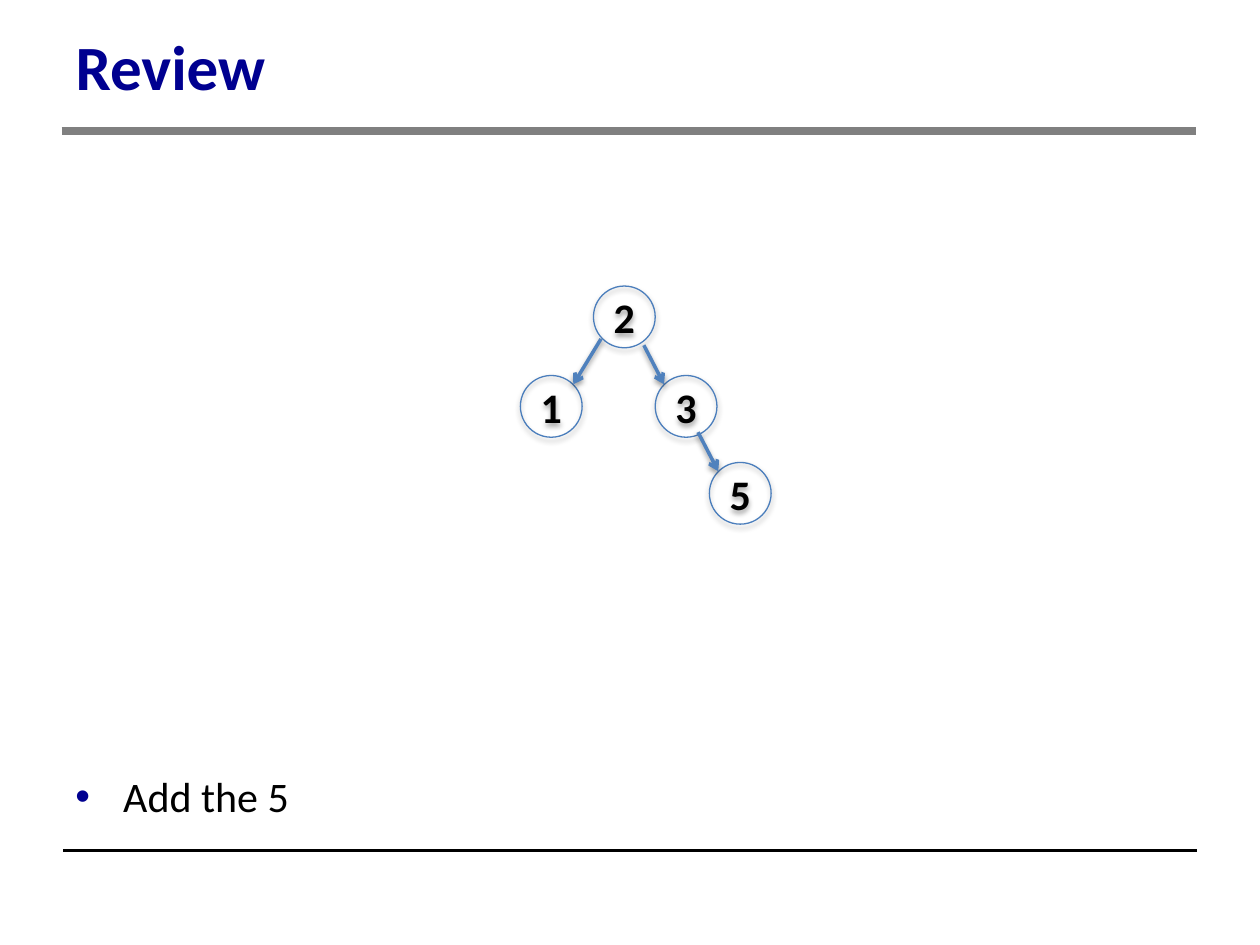
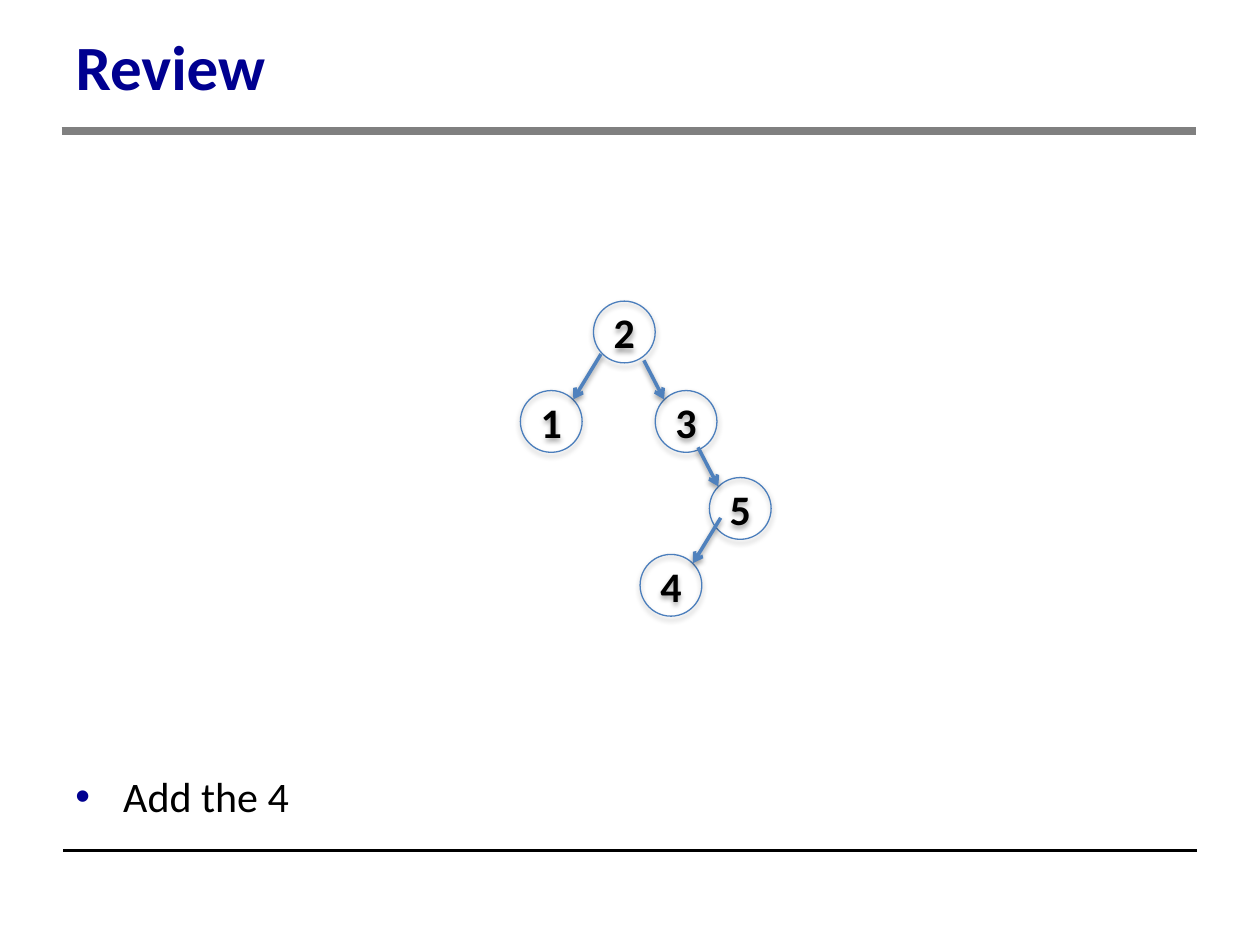
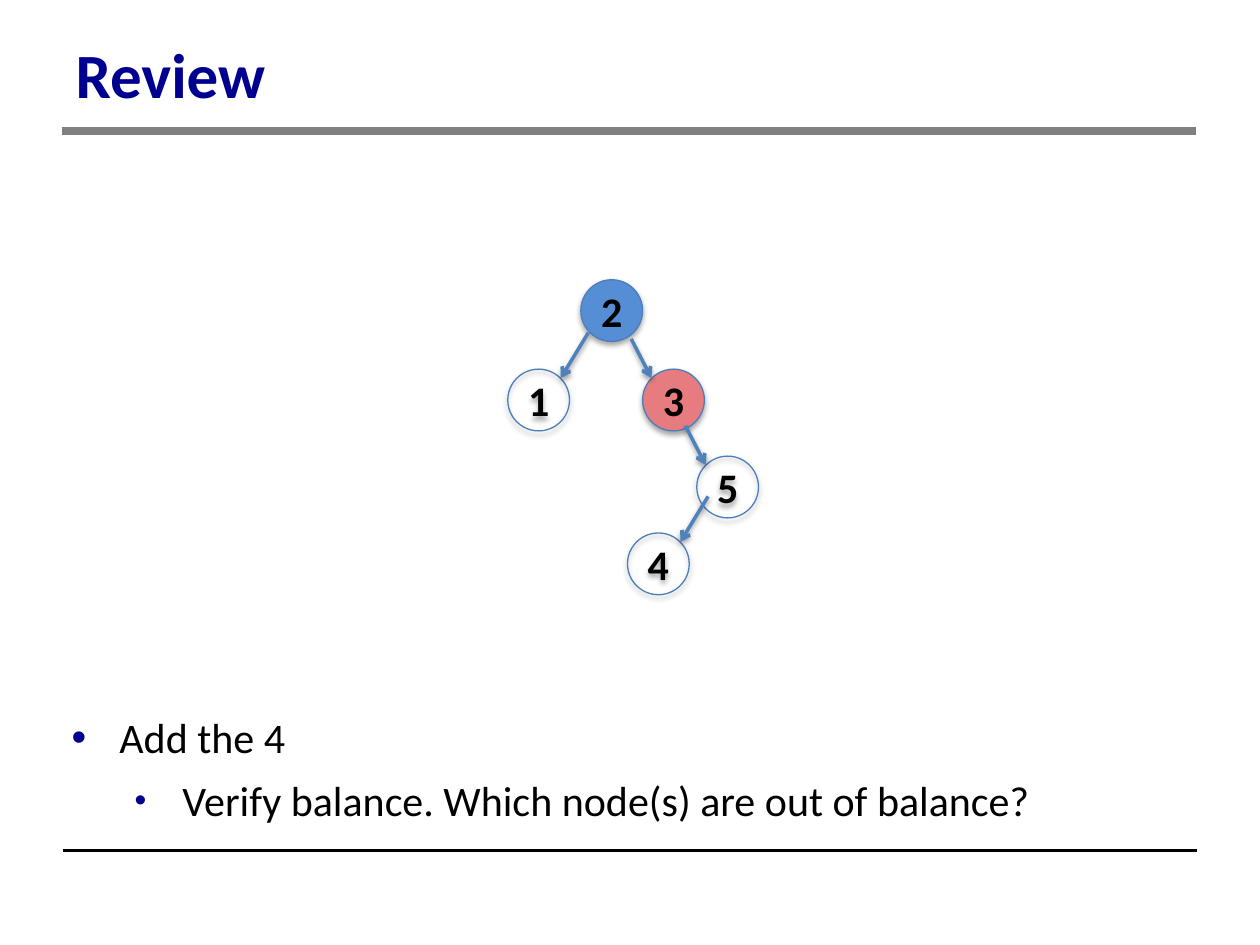
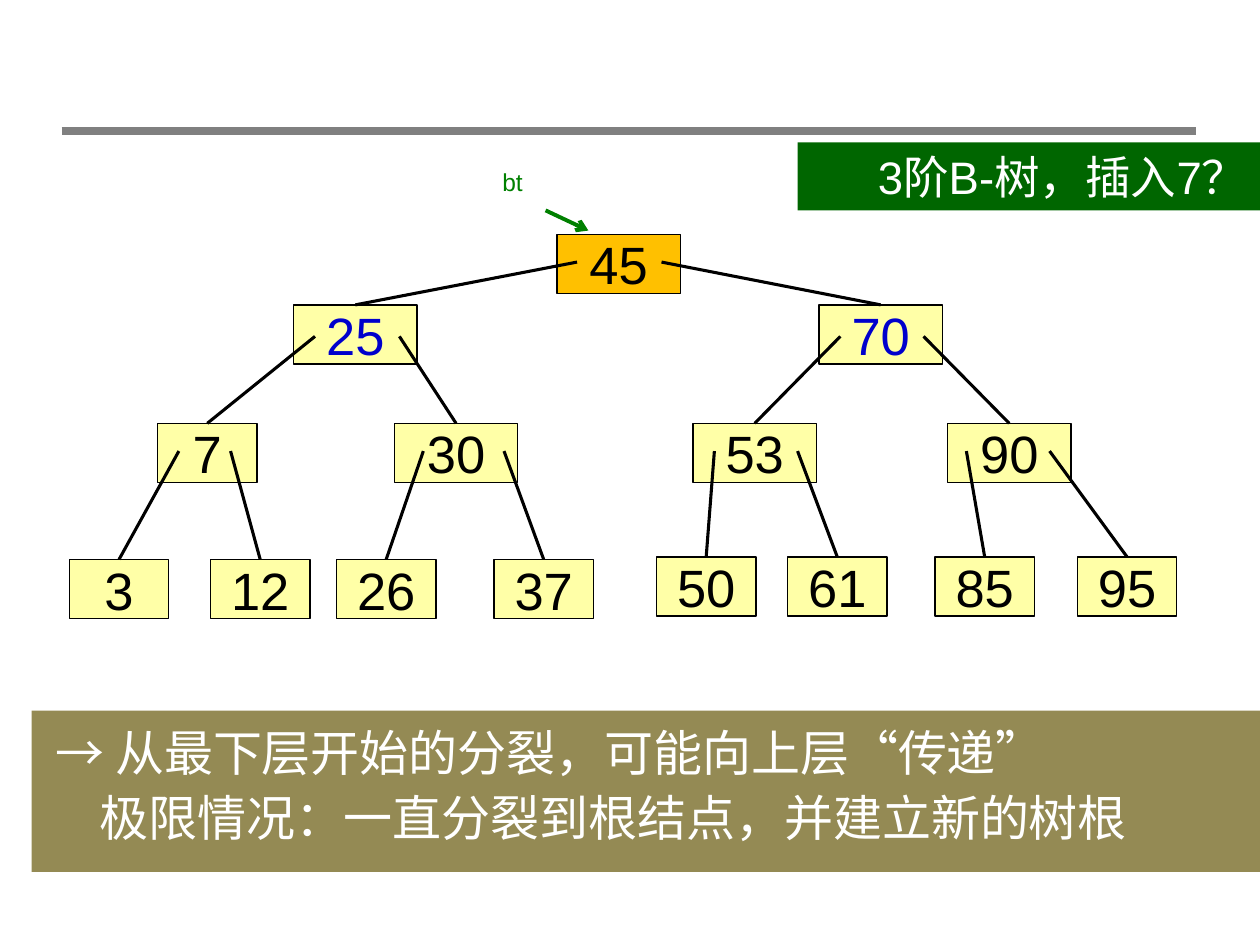
from dataclasses import dataclass

from lxml.etree import SubElement
from pptx import Presentation
from pptx.dml.color import RGBColor
from pptx.enum.shapes import MSO_CONNECTOR as Connector, MSO_SHAPE as Shape
from pptx.enum.text import MSO_ANCHOR as Anchor, MSO_AUTO_SIZE as AutoSize, PP_ALIGN as Align
from pptx.oxml.ns import qn
from pptx.util import Emu, Pt

SCALE = 9144
TITLE_ONLY, BLANK = 5, 6


@dataclass(frozen=True)
class Theme:
    """Colours, fonts and type sizes of the deck."""
    navy: str = "000090"
    black: str = "000000"
    white: str = "FFFFFF"
    grey: str = "808080"
    node_line: str = "4B7EBC"
    arrow: str = "4F81BD"
    blue_node: str = "558ED5"
    red_node: str = "E67C7F"
    key_fill: str = "FFFFA7"
    root_fill: str = "FFC000"
    key_blue: str = "0000CC"
    banner: str = "006600"
    pointer: str = "008000"
    note: str = "948A54"
    latin: str = "Calibri"
    sans: str = "Arial"
    title_size: int = 36
    body_size: int = 24
    key_size: int = 30
    banner_size: int = 26
    note_size: int = 28
    label_size: int = 14


THEME = Theme()

AVL_OFFSETS = {"2": (0, 0), "1": (-58, 71), "3": (49, 71), "5": (92, 140), "4": (37, 201)}
AVL_LINKS = {"1": "left", "3": "right", "5": "right", "4": "left"}
LINK_ENDS = {"left": (42, 7), "right": (7, 7)}
LINK_STARTS = {"left": (22, -36), "right": (-16, -31)}

KEY_BOXES = {
    "45": (387, 0, 98), "25": (178, 56, 98), "70": (595, 56, 98),
    "7": (70, 150, 79), "30": (258, 150, 98), "53": (495, 150, 98), "90": (697, 150, 98),
    "3": (0, 258, 79), "12": (112, 258, 79), "26": (212, 258, 79), "37": (337, 258, 79),
    "50": (466, 256, 79), "61": (570, 256, 79), "85": (687, 256, 79), "95": (800, 256, 79),
}
KEY_LINKS = {
    "45": (("25", 16), ("70", 83)),
    "25": (("7", 17), ("30", 84)),
    "70": (("53", 17), ("90", 83)),
    "7": (("3", 17), ("12", 58)),
    "30": (("26", 23), ("37", 87)),
    "53": (("50", 17), ("61", 83)),
    "90": (("85", 15), ("95", 81)),
}


def px(*lengths):
    """Turn px lengths into EMU."""
    return [Emu(length * SCALE) for length in lengths]


def rgb(colour):
    """Return a colour object for a hex string."""
    return RGBColor.from_string(colour)


def apply(target, values):
    """Set every attribute named in a dict."""
    for name, value in values.items():
        setattr(target, name, value)


def add_xml(parent, tag, **attributes):
    """Append an XML element and return it."""
    return SubElement(parent, qn(tag), attributes)


def write(para, text, font, size, colour, bold=False):
    """Add one formatted run to a paragraph."""
    span = para.add_run()
    span.text = text
    apply(span.font, {"name": font, "size": Pt(size), "bold": bold})
    span.font.color.rgb = rgb(colour)


def set_frame(shape, anchor=Anchor.TOP, insets=(10, 5, 10, 5)):
    """Set wrapping, anchor and insets, and return the text frame."""
    frame = shape.text_frame
    left, top, right, bottom = px(*insets)
    apply(frame, {"word_wrap": True, "auto_size": AutoSize.NONE, "vertical_anchor": anchor,
                  "margin_left": left, "margin_top": top,
                  "margin_right": right, "margin_bottom": bottom})
    return frame


def add_effects(shape, shadow_alpha=None, distance=1.8):
    """Give a shape a soft lower shadow, or none at all."""
    effects = add_xml(shape.element.spPr, "a:effectLst")
    if shadow_alpha:
        shadow = add_xml(effects, "a:outerShdw", blurRad=str(Pt(3.1)), dist=str(Pt(distance)),
                         dir="5400000", rotWithShape="0")
        black = add_xml(shadow, "a:srgbClr", val=THEME.black)
        add_xml(black, "a:alpha", val=str(shadow_alpha * 1000))


def add_line(page, start, end, colour, width, arrow=False, shadow_alpha=None):
    """Draw a straight line, with an arrowhead if asked."""
    line = page.shapes.add_connector(Connector.STRAIGHT, *px(*start, *end))
    line.line.color.rgb = rgb(colour)
    line.line.width = Pt(width)
    if arrow:
        add_xml(line.element.spPr.find(qn("a:ln")), "a:tailEnd", type="arrow")
    add_effects(line, shadow_alpha, distance=1.6)
    return line


def add_block(page, box, kind=Shape.RECTANGLE, fill=None, line=None):
    """Draw a preset shape with its own fill and outline."""
    shape = page.shapes.add_shape(kind, *px(*box))
    shape.shadow.inherit = False
    if fill:
        shape.fill.solid()
        shape.fill.fore_color.rgb = rgb(fill)
    else:
        shape.fill.background()
    if line:
        shape.line.color.rgb = rgb(line)
        shape.line.width = Pt(0.75)
    else:
        shape.line.fill.background()
    return shape


def add_header_rule(page):
    """Draw the grey rule under the title."""
    add_line(page, (49, 104), (949, 104), THEME.grey, 5)


def add_title(page, text, box):
    """Place and format the title placeholder."""
    title = page.shapes.title
    apply(title, dict(zip(("left", "top", "width", "height"), px(*box))))
    para = set_frame(title, Anchor.BOTTOM).paragraphs[0]
    apply(para, {"alignment": Align.LEFT, "line_spacing": Pt(40)})
    write(para, text, THEME.latin, THEME.title_size, THEME.navy, bold=True)


def add_bullets(page, box, lines):
    """Write bulleted lines, each one level deeper than the one before."""
    frame = set_frame(page.shapes.add_textbox(*px(*box)))
    for level, text in enumerate(lines):
        para = frame.add_paragraph() if level else frame.paragraphs[0]
        margin, hang = px(38 + 50 * level, -38)
        properties = para._p.get_or_add_pPr()
        properties.set("marL", str(margin))
        properties.set("indent", str(hang))
        add_xml(add_xml(properties, "a:buClr"), "a:srgbClr", val=THEME.navy)
        add_xml(properties, "a:buSzPct", val="80000" if level else "100000")
        add_xml(properties, "a:buFont", typeface=THEME.sans)
        add_xml(properties, "a:buChar", char="•")
        apply(para, {"level": level, "space_before": Pt(7 if level else 0)})
        write(para, text, THEME.latin, THEME.body_size, THEME.black)


def add_avl_node(page, left, top, value, fill):
    """Draw one round tree node."""
    node = add_block(page, (left, top, 49, 49), Shape.OVAL, fill, THEME.node_line)
    node.element.spPr.remove(node.element.spPr.find(qn("a:effectLst")))
    add_effects(node, 35)
    para = set_frame(node, Anchor.MIDDLE, (0, 0, 0, 0)).paragraphs[0]
    para.alignment = Align.CENTER
    write(para, value, THEME.latin, THEME.body_size, THEME.black, bold=True)


def add_avl_tree(page, left, top, values, fills):
    """Draw the tree whose root node sits at left, top."""
    places = {value: (left + AVL_OFFSETS[value][0], top + AVL_OFFSETS[value][1])
              for value in values}
    for value, place in places.items():
        add_avl_node(page, *place, value, fills.get(value))
    for value in values[1:]:
        side = AVL_LINKS[value]
        end = [sum(pair) for pair in zip(places[value], LINK_ENDS[side])]
        start = [sum(pair) for pair in zip(end, LINK_STARTS[side])]
        add_line(page, start, end, THEME.arrow, 2, arrow=True, shadow_alpha=38)


def build_review(deck, title_height, root, values, bullet_box, lines, fills):
    """Build a review slide with a tree and bullets."""
    page = deck.slides.add_slide(deck.slide_layouts[TITLE_ONLY])
    add_line(page, (50, 675), (950, 675), THEME.black, 2)
    add_header_rule(page)
    add_title(page, "Review", (50, 17, 821, title_height))
    add_avl_tree(page, *root, values, fills)
    add_bullets(page, bullet_box, lines)


def add_key_tree(page, left, top):
    """Draw the boxed keys and join each child to its parent."""
    boxes = {}
    for value, (x, y, width) in KEY_BOXES.items():
        fill = THEME.root_fill if value == "45" else THEME.key_fill
        colour = THEME.key_blue if value in ("25", "70") else THEME.black
        box = add_block(page, (left + x, top + y, width, 47), fill=fill, line=THEME.black)
        para = set_frame(box, Anchor.MIDDLE).paragraphs[0]
        para.alignment = Align.CENTER
        write(para, value, THEME.sans, THEME.key_size, colour)
        boxes[value] = box
    for parent, children in KEY_LINKS.items():
        x, y, _ = KEY_BOXES[parent]
        drop = 25 if parent in ("25", "70") else 22
        for child, port in children:
            start = (left + x + port, top + y + drop)
            link = add_line(page, start, start, THEME.black, 1.75)
            link.end_connect(boxes[child], 0)


def add_root_pointer(page, left, top):
    """Draw the pointer label and its arrow to the root."""
    label = page.shapes.add_textbox(*px(left, top, 53, 63))
    para = set_frame(label, insets=(0, 5, 27, 5)).paragraphs[0]
    para.alignment = Align.RIGHT
    write(para, "bt", THEME.sans, THEME.label_size, THEME.pointer)
    add_line(page, (left + 44, top + 39), (left + 78, top + 55), THEME.pointer, 2.25, arrow=True)


def add_question(page, box):
    """Draw the green question banner."""
    para = set_frame(add_block(page, box, fill=THEME.banner)).paragraphs[0]
    para.alignment = Align.RIGHT
    write(para, "3阶B-树，插入7？", THEME.sans, THEME.banner_size, THEME.white)


def add_note(page, box, lines):
    """Draw the note band with its indented lines."""
    frame = set_frame(add_block(page, box, fill=THEME.note))
    for number, (indent, text) in enumerate(lines):
        para = frame.add_paragraph() if number else frame.paragraphs[0]
        para._p.get_or_add_pPr().set("marL", str(px(indent)[0]))
        apply(para, {"alignment": Align.LEFT, "line_spacing": 1.1})
        write(para, text, THEME.sans, THEME.note_size, THEME.white)


def build_b_tree(deck):
    """Build the slide on insertion into a B-tree."""
    page = deck.slides.add_slide(deck.slide_layouts[BLANK])
    add_header_rule(page)
    add_key_tree(page, 55, 186)
    add_question(page, (633, 113, 367, 54))
    add_note(page, (25, 564, 975, 128), (
        (9, "→ 从最下层开始的分裂，可能向上层“传递”"),
        (44, "极限情况：一直分裂到根结点，并建立新的树根"),
    ))
    add_root_pointer(page, 389, 128)


def main():
    """Build the deck and save it."""
    deck = Presentation()
    deck.slide_width, deck.slide_height = px(1000, 750)
    short_box = (50, 607, 833, 50)
    build_review(deck, 70, (471, 227), "2135", short_box, ["Add the 5"], {})
    build_review(deck, 70, (471, 239), "21354", short_box, ["Add the 4"], {})
    build_review(deck, 76, (461, 222), "21354", (47, 560, 950, 103),
                 ["Add the 4", "Verify balance. Which node(s) are out of balance?"],
                 {"2": THEME.blue_node, "3": THEME.red_node})
    build_b_tree(deck)
    deck.save("out.pptx")


if __name__ == "__main__":
    main()
